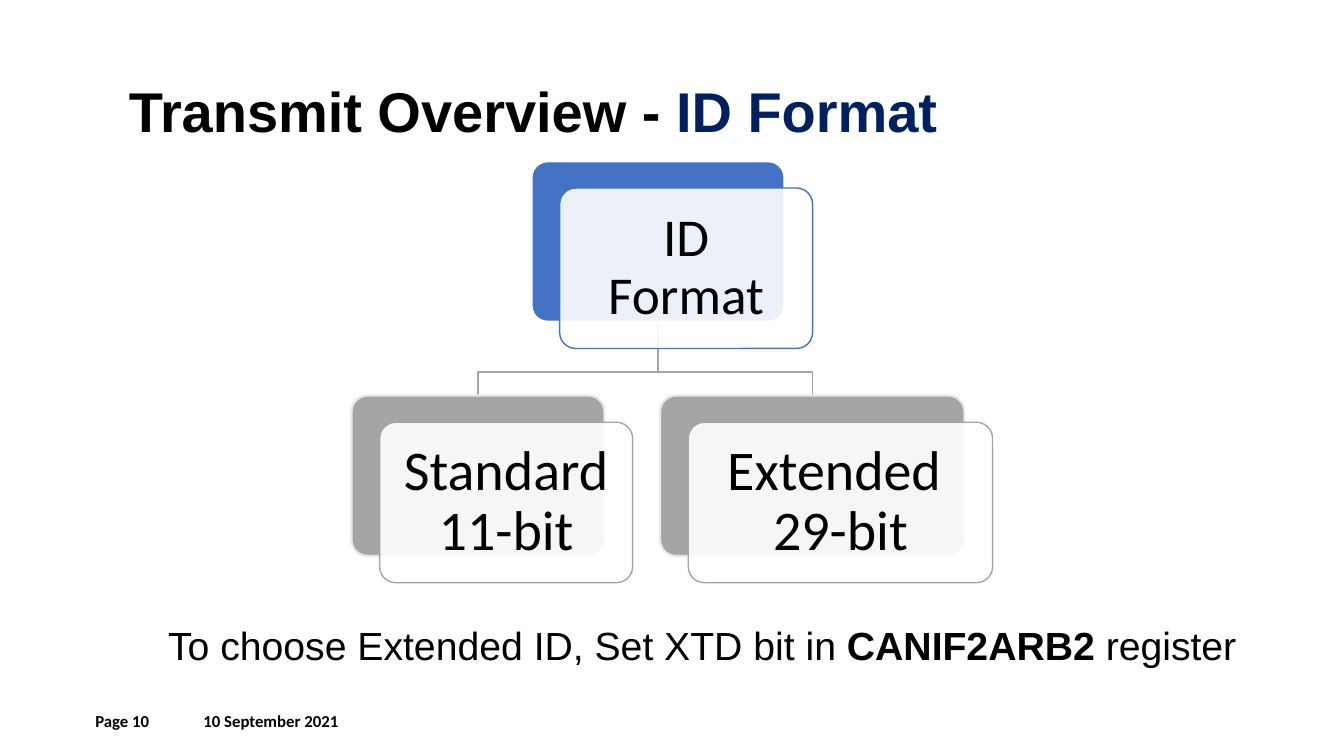
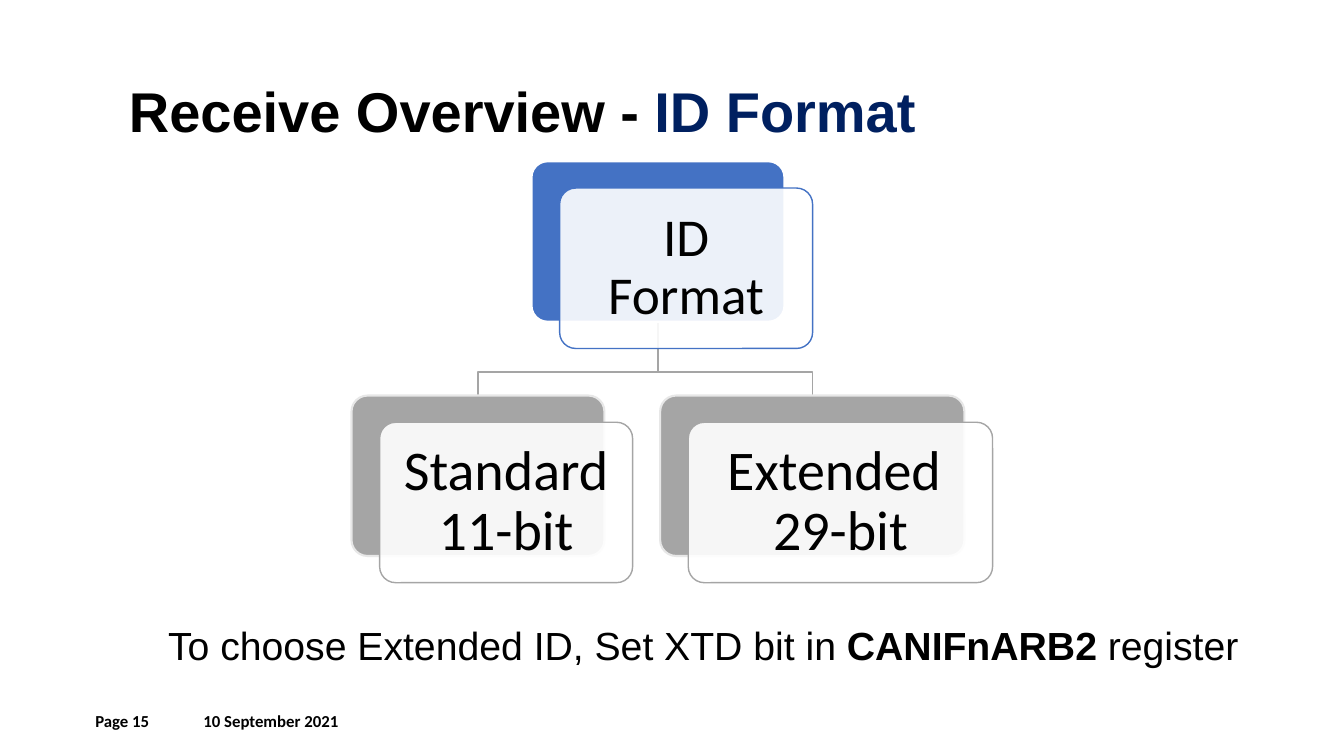
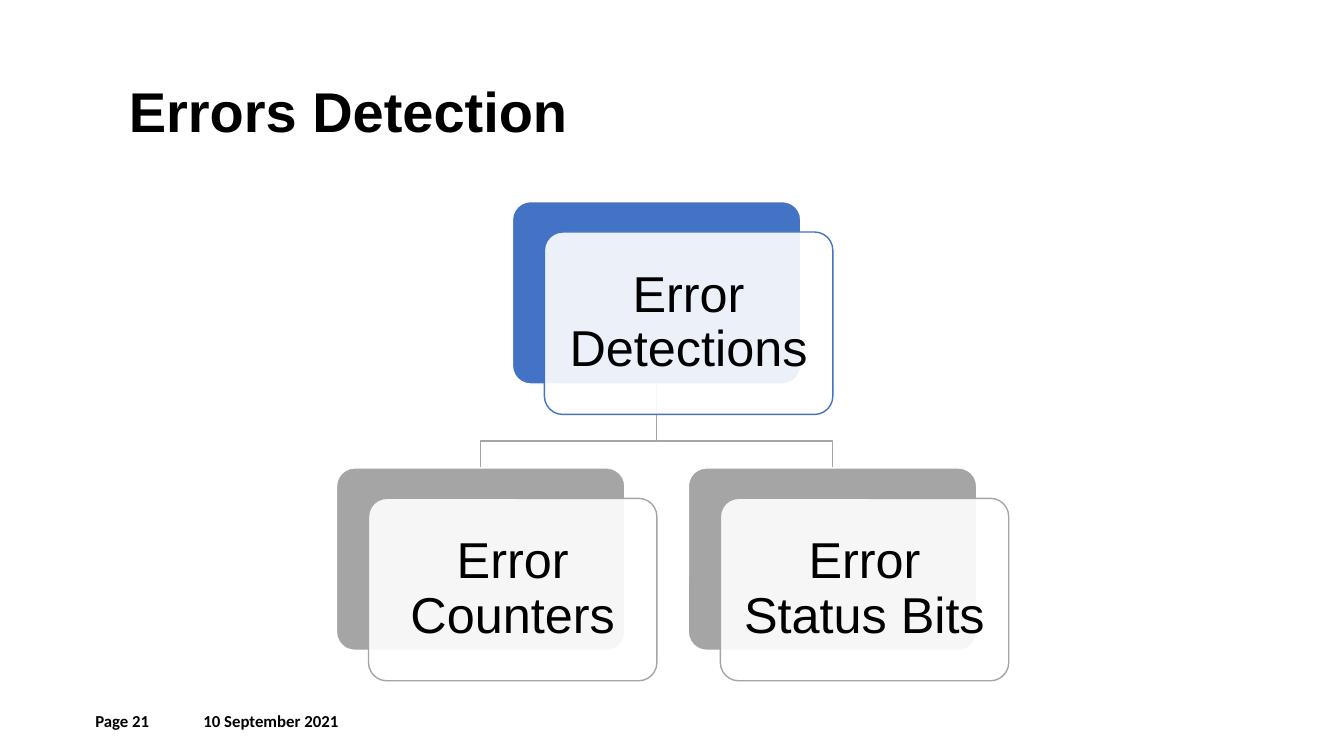
from dataclasses import dataclass

from pptx import Presentation
from pptx import util as u
from pptx.dml.color import RGBColor
from pptx.enum import shapes, text
from pptx.oxml import xmlchemy
from pptx.oxml.ns import qn
from pptx.util import Pt


@dataclass(frozen=True)
class Theme:
    black: str = "000000"
    white: str = "FFFFFF"
    navy: str = "002060"
    blue: str = "4472C4"
    grey: str = "A5A5A5"
    pale_grey: str = "E7E7E7"
    heading_font: str = "Arial"
    body_font: str = "Calibri"
    title_size: float = 40
    caption_size: float = 28
    footer_size: float = 12
    hairline: float = 1
    card_opacity: int = 90


THEME = Theme()
DATE = "10 September 2021"


@dataclass(frozen=True)
class Box:
    left: float
    top: float
    width: float
    height: float

    @property
    def centre(self) -> float:
        return self.left + self.width / 2

    @property
    def bottom(self) -> float:
        return self.top + self.height

    def lengths(self) -> list[u.Length]:
        return [Pt(value) for value in (self.left, self.top, self.width, self.height)]


@dataclass(frozen=True)
class Span:
    words: str
    color: str = THEME.black
    bold: bool = False


@dataclass(frozen=True)
class Node:
    label: str
    width: float
    size: float
    edge: str = THEME.white


@dataclass(frozen=True)
class Tree:
    """A root card centred above a row of child cards."""
    centre: float
    top: float
    node_height: float
    root: Node
    children: tuple[Node, ...]
    font: str
    edge_width: float
    inset: float


@dataclass(frozen=True)
class Page:
    number: int
    title: tuple[Span, ...]
    tree: Tree
    caption: tuple[Span, ...] = ()


def rgb(color: str) -> RGBColor:
    return RGBColor.from_string(color)


def add_text(slide, box: Box, spans: tuple[Span, ...], font: str, size: float,
             anchor=text.MSO_ANCHOR.TOP, align=text.PP_ALIGN.LEFT) -> None:
    frame = slide.shapes.add_textbox(*box.lengths()).text_frame
    frame.word_wrap = True
    frame.vertical_anchor = anchor
    paragraph = frame.paragraphs[0]
    paragraph.alignment = align
    paragraph.font.name = font
    paragraph.font.size = Pt(size)
    for span in spans:
        run = paragraph.add_run()
        run.text = span.words
        run.font.bold = span.bold
        run.font.color.rgb = rgb(span.color)


def add_panel(slide, box: Box, fill: str, line: str, line_width: float):
    panel = slide.shapes.add_shape(shapes.MSO_SHAPE.ROUNDED_RECTANGLE, *box.lengths())
    panel.adjustments[0] = 0.1
    panel.shadow.inherit = False
    panel.fill.solid()
    panel.fill.fore_color.rgb = rgb(fill)
    panel.line.color.rgb = rgb(line)
    panel.line.width = Pt(line_width)
    return panel


def set_opacity(shape, percent: int) -> None:
    color: xmlchemy.BaseOxmlElement = shape.element.spPr.find(qn("a:solidFill"))[0]
    alpha = color.makeelement(qn("a:alpha"), {"val": str(percent * 1000)})
    color.append(alpha)


def add_card(slide, box: Box, node: Node, color: str, tree: Tree) -> None:
    """Draw a coloured panel with a translucent label card shifted over it."""
    add_panel(slide, box, color, node.edge, tree.edge_width)
    front = Box(box.left + tree.root.width / 9, box.top + box.height / 6,
                box.width, box.height)
    card = add_panel(slide, front, THEME.white, color, THEME.hairline)
    set_opacity(card, THEME.card_opacity)
    frame = card.text_frame
    frame.word_wrap = True
    frame.vertical_anchor = text.MSO_ANCHOR.MIDDLE
    frame.margin_left = frame.margin_right = Pt(tree.inset)
    frame.margin_top = frame.margin_bottom = Pt(tree.inset)
    paragraph = frame.paragraphs[0]
    paragraph.text = node.label
    paragraph.alignment = text.PP_ALIGN.CENTER
    paragraph.line_spacing = 0.9
    paragraph.font.name = tree.font
    paragraph.font.size = Pt(node.size)
    paragraph.font.color.rgb = rgb(THEME.black)


def add_branch(slide, parent: Box, child: Box) -> None:
    """Draw the bent line from a parent's bottom to a child's top."""
    bend = parent.bottom + (child.top - parent.bottom) * 0.68
    builder = slide.shapes.build_freeform(Pt(parent.centre), Pt(parent.bottom))
    corners = [(parent.centre, bend), (child.centre, bend), (child.centre, child.top)]
    builder.add_line_segments([(Pt(x), Pt(y)) for x, y in corners], close=False)
    branch = builder.convert_to_shape()
    branch.shadow.inherit = False
    branch.fill.background()
    branch.line.color.rgb = rgb(THEME.grey)
    branch.line.width = Pt(THEME.hairline)


def add_tree(slide, tree: Tree) -> None:
    height, width = tree.node_height, tree.root.width
    root = Box(tree.centre - width / 2, tree.top, width, height)
    gap = 0.22 * width
    row_width = sum(node.width for node in tree.children) + gap * (len(tree.children) - 1)
    left = tree.centre - row_width / 2
    row: list[Box] = []
    for node in tree.children:
        row.append(Box(left, root.bottom + 0.46 * height, node.width, height))
        left += node.width + gap
    for child in reversed(row):
        add_branch(slide, root, child)
    add_card(slide, root, tree.root, THEME.blue, tree)
    for child, node in zip(row, tree.children):
        add_card(slide, child, node, THEME.grey, tree)


def add_footer(slide, number: int) -> None:
    for box, words, align in (
        (Box(138.2, 500.4, 216, 28.8), DATE, text.PP_ALIGN.LEFT),
        (Box(58.3, 500.4, 55.4, 28.8), f"Page {number}", text.PP_ALIGN.RIGHT),
    ):
        add_text(slide, box, (Span(words, bold=True),), THEME.body_font,
                 THEME.footer_size, text.MSO_ANCHOR.MIDDLE, align)


def add_page(presentation, page: Page) -> None:
    slide = presentation.slides.add_slide(presentation.slide_layouts[6])
    add_footer(slide, page.number)
    add_text(slide, Box(85, 51.1, 783.4, 55.4), page.title,
             THEME.heading_font, THEME.title_size)
    add_tree(slide, page.tree)
    if page.caption:
        add_text(slide, Box(113, 440, 790, 41), page.caption,
                 THEME.heading_font, THEME.caption_size)


ID_TREE = Tree(
    centre=470, top=115.2, node_height=114.6,
    root=Node("ID Format", 180.7, 38),
    children=(Node("Standard\n11-bit", 180.7, 40, THEME.pale_grey),
              Node("Extended \n29-bit", 217.4, 40, THEME.pale_grey)),
    font=THEME.body_font, edge_width=1.5, inset=12)

ERROR_TREE = Tree(
    centre=469, top=144, node_height=130.3,
    root=Node("Error Detections", 206, 36),
    children=(Node("Error Counters", 206, 36), Node("Error Status Bits", 206, 36)),
    font=THEME.heading_font, edge_width=1, inset=10.8)


def id_page(number: int, direction: str, register: str) -> Page:
    return Page(
        number,
        (Span(f"{direction} Overview - ", bold=True),
         Span("ID Format", THEME.navy, bold=True)),
        ID_TREE,
        (Span("To choose Extended ID, Set XTD bit in "),
         Span(register, bold=True), Span(" register")))


PAGES = (
    id_page(10, "Transmit", "CANIF2ARB2"),
    id_page(15, "Receive", "CANIFnARB2"),
    Page(21, (Span("Errors Detection", bold=True),), ERROR_TREE),
)


def main() -> None:
    presentation = Presentation()
    presentation.slide_width, presentation.slide_height = Pt(960), Pt(540)
    for page in PAGES:
        add_page(presentation, page)
    presentation.save("out.pptx")


if __name__ == "__main__":
    main()
